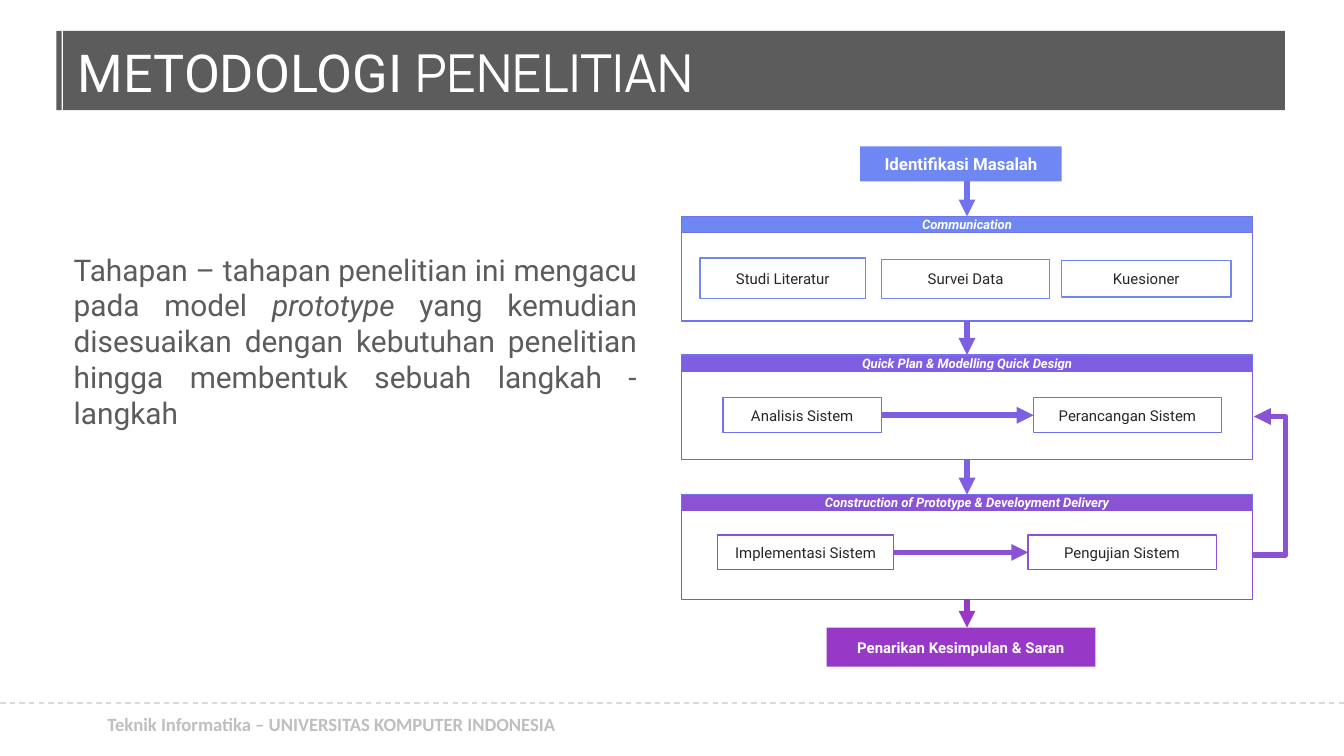
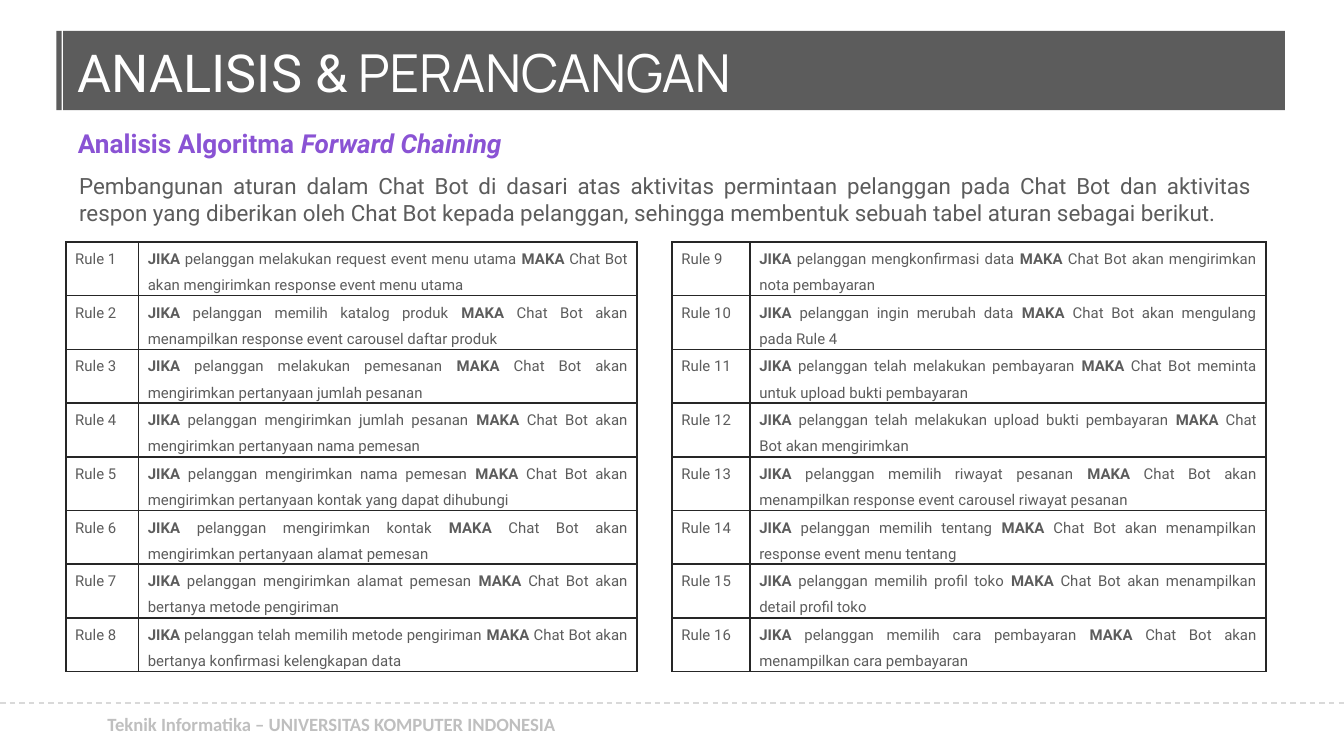
from dataclasses import dataclass

from lxml import etree
from pptx import Presentation
from pptx.dml.color import RGBColor
from pptx.enum.dml import MSO_LINE
from pptx.enum.shapes import MSO_CONNECTOR as CONNECTOR, MSO_SHAPE as SHAPE
from pptx.enum.text import MSO_ANCHOR as ANCHOR, MSO_AUTO_SIZE as AUTO_SIZE, PP_ALIGN as ALIGN
from pptx.oxml.ns import qn
from pptx.util import Inches, Pt


@dataclass(frozen=True)
class Theme:
    font: str = "Roboto"
    title_font: str = "Manrope"
    footer_font: str = "Calibri"
    white: str = "FFFFFF"
    grey: str = "5C5C5C"
    ink: str = "262626"
    footer: str = "BFBFBF"
    rule: str = "D9D9D9"
    blue: str = "6E87F2"
    indigo: str = "7172EE"
    violet: str = "7E5FE1"
    purple: str = "8A53D4"
    magenta: str = "9738C7"
    title_size: float = 28
    body_size: float = 16
    heading_size: float = 14
    intro_size: float = 12
    footer_size: float = 10
    start_size: float = 9
    small_size: float = 8
    label_size: float = 7


T = Theme()
BOLD, ITALIC, BOLD_ITALIC = {"bold": True}, {"italic": True}, {"bold": True, "italic": True}


def write(tf, runs, size, color, align=ALIGN.LEFT, font=T.font, margin=None):
    """Fill the first paragraph with (text, font attributes) runs."""
    tf.word_wrap = True
    if margin is not None:
        tf.margin_left = tf.margin_right = tf.margin_top = tf.margin_bottom = Inches(margin)
    p = tf.paragraphs[0]
    p.alignment = align
    for text, attributes in runs:
        r = p.add_run()
        r.text = text
        r.font.name = font
        r.font.size = Pt(size)
        r.font.color.rgb = RGBColor.from_string(color)
        for name, value in attributes.items():
            setattr(r.font, name, value)
    return p


def add_box(s, at, fill, line=None, text="", size=T.small_size, color=T.white, style=BOLD):
    sp = s.shapes.add_shape(SHAPE.RECTANGLE, *map(Inches, at))
    sp.shadow.inherit = False
    sp.fill.solid()
    sp.fill.fore_color.rgb = RGBColor.from_string(fill)
    if line:
        sp.line.color.rgb = RGBColor.from_string(line)
        sp.line.width = Pt(0.75)
    else:
        sp.line.fill.background()
    if text:
        write(sp.text_frame, [(text, style)], size, color, ALIGN.CENTER)
    return sp


prs = Presentation()
prs.slide_width = Inches(10)
prs.slide_height = prs.slide_width * 9 // 16
layout = prs.slide_layouts[5]
for ph in list(layout.placeholders)[1:]:
    ph.element.getparent().remove(ph.element)

titles = [("METODOLOGI ", "PENELITIAN"), ("ANALISIS &", " PERANCANGAN")]
for strong, light in titles:
    s = prs.slides.add_slide(layout)
    title = s.shapes.title
    title.left, title.top, title.width, title.height = map(Inches, (0.58, 0.26, 8.98, 0.54))
    tf = title.text_frame
    tf.auto_size = AUTO_SIZE.NONE
    tf.vertical_anchor = ANCHOR.MIDDLE
    write(tf, [(strong, {}), (light, {"name": T.title_font})], T.title_size, T.white, margin=0)
method, analysis = prs.slides

# Title band and footer, moved to the layout that both slides share
band = add_box(method, (0.47, 0.23, 9.09, 0.59), T.grey)
accent = add_box(method, (0.42, 0.23, 0.04, 0.59), T.grey)
footer = method.shapes.add_textbox(*map(Inches, (0.8, 5.32, 3.33, 0.15)))
footer.text_frame.vertical_anchor = ANCHOR.MIDDLE
p = write(footer.text_frame, [("Teknik Informatika – UNIVERSITAS KOMPUTER INDONESIA", BOLD)],
          T.footer_size, T.footer, font=T.footer_font, margin=0)
p.line_spacing = 0.9
p.space_after = Pt(10)
footer.text_frame.word_wrap = False
footer_rule = method.shapes.add_connector(
    CONNECTOR.STRAIGHT, 0, Inches(5.23), prs.slide_width, Inches(5.23))
footer_rule.line.color.rgb = RGBColor.from_string(T.rule)
footer_rule.line.width = Pt(0.75)
footer_rule.line.dash_style = MSO_LINE.DASH
etree.SubElement(footer_rule.element.spPr, qn("a:effectLst"))
for sp in (band, accent, footer, footer_rule):
    layout.shapes.element.append(sp.element)

# Slide 1: research stages
tb = method.shapes.add_textbox(*map(Inches, (0.45, 1.82, 4.39, 1.45)))
write(tb.text_frame, [
    ("Tahapan – tahapan penelitian ini mengacu pada model ", {}),
    ("prototype ", ITALIC),
    ("yang kemudian disesuaikan dengan kebutuhan penelitian hingga membentuk "
     "sebuah langkah - langkah ", {}),
], T.body_size, T.grey, ALIGN.JUSTIFY)

add_box(method, (6.15, 4.67, 2, 0.29), T.magenta, text="Penarikan Kesimpulan & Saran")
add_box(method, (6.4, 1.09, 1.5, 0.26), T.blue, text="Identifikasi Masalah",
        size=T.start_size)

PANEL_LEFT, PANEL_WIDTH, HEADER_HEIGHT, BODY_HEIGHT = 5.07, 4.25, 0.12, 0.66
CENTRE = PANEL_LEFT + PANEL_WIDTH / 2
panels = [
    (1.61, "Communication", T.blue, T.indigo, T.blue, [
        ("Studi Literatur", 5.21, 1.92, 1.23, 0.3),
        ("Survei Data", 6.56, 1.93, 1.25, 0.29),
        ("Kuesioner", 7.9, 1.94, 1.26, 0.27)]),
    (2.64, "Quick Plan & Modelling Quick Design", T.violet, T.violet, T.indigo, [
        ("Analisis Sistem", 5.38, 2.96, 1.18, 0.26),
        ("Perancangan Sistem", 7.69, 2.96, 1.4, 0.26)]),
    (3.68, "Construction of Prototype & Develoyment Delivery", T.purple, T.purple, T.purple, [
        ("Implementasi Sistem", 5.34, 3.98, 1.31, 0.26),
        ("Pengujian Sistem", 7.65, 3.98, 1.4, 0.26)]),
]
arrows = []
previous = None
for (top, name, fill, outline, step_line, steps), arrow_color in zip(
        panels, (T.indigo, T.violet, T.violet)):
    header = add_box(method, (PANEL_LEFT, top, PANEL_WIDTH, HEADER_HEIGHT), fill, T.indigo,
                     name, T.label_size, style=BOLD_ITALIC)
    body = add_box(method, (PANEL_LEFT, top + HEADER_HEIGHT, PANEL_WIDTH, BODY_HEIGHT),
                   T.white, outline)
    boxes = [add_box(method, at, T.white, step_line, step, color=T.ink, style={})
             for step, *at in steps]
    down = method.shapes.add_connector(
        CONNECTOR.STRAIGHT, Inches(CENTRE), Inches(1.35), Inches(CENTRE), Inches(top))
    if previous:
        down.begin_connect(previous, 2)
    down.end_connect(header, 0)
    arrows.append((down, arrow_color))
    if len(boxes) == 2:
        across = method.shapes.add_connector(CONNECTOR.STRAIGHT, 0, 0, 0, 0)
        across.begin_connect(boxes[0], 3)
        across.end_connect(boxes[1], 1)
        arrows.append((across, fill))
    previous = body

last = method.shapes.add_connector(
    CONNECTOR.STRAIGHT, Inches(CENTRE), Inches(4.46), Inches(CENTRE), Inches(4.67))
last.begin_connect(previous, 2)
feedback = method.shapes.add_connector(
    CONNECTOR.ELBOW, Inches(9.32), Inches(4.13), Inches(9.33), Inches(3.1))
# The bend lies 0.25 inch to the right, 25 times the connector's own width
bend = feedback.element.spPr.find(qn("a:prstGeom")).find(qn("a:avLst"))
etree.SubElement(bend, qn("a:gd"), name="adj1", fmla="val 2500000")
arrows += [(last, T.magenta), (feedback, T.purple)]
for cxn, color in arrows:
    cxn.line.color.rgb = RGBColor.from_string(color)
    cxn.line.width = Pt(3)
    etree.SubElement(cxn.element.spPr.find(qn("a:ln")), qn("a:tailEnd"), type="triangle")
    etree.SubElement(cxn.element.spPr, qn("a:effectLst"))

# Slide 2: rule tables
tb = analysis.shapes.add_textbox(*map(Inches, (0.58, 0.97, 8.99, 0.19)))
tb.text_frame.vertical_anchor = ANCHOR.MIDDLE
write(tb.text_frame, [("Analisis Algoritma ", BOLD), ("Forward Chaining", BOLD_ITALIC)],
      T.heading_size, T.purple, margin=0)
tb = analysis.shapes.add_textbox(*map(Inches, (0.49, 1.23, 8.93, 0.5)))
write(tb.text_frame, [(
    "Pembangunan aturan dalam Chat Bot di dasari atas aktivitas permintaan pelanggan pada "
    "Chat Bot dan aktivitas respon yang diberikan oleh Chat Bot kepada pelanggan, sehingga "
    "membentuk sebuah tabel aturan sebagai berikut. ", {})],
    T.intro_size, T.grey, ALIGN.JUSTIFY)

rules = [
    ("melakukan request event menu utama", "akan mengirimkan response event menu utama"),
    ("memilih katalog produk", "akan menampilkan response event carousel daftar produk "),
    ("melakukan pemesanan", "akan mengirimkan pertanyaan jumlah pesanan"),
    ("mengirimkan jumlah pesanan", "akan mengirimkan pertanyaan nama pemesan"),
    ("mengirimkan nama pemesan", "akan mengirimkan pertanyaan kontak yang dapat dihubungi"),
    ("mengirimkan kontak", "akan mengirimkan pertanyaan alamat pemesan"),
    ("mengirimkan alamat pemesan", "akan bertanya metode pengiriman"),
    ("telah memilih metode pengiriman", "akan bertanya konfirmasi kelengkapan data"),
    ("mengkonfirmasi data", "akan mengirimkan nota pembayaran"),
    ("ingin merubah data", "akan mengulang pada Rule 4"),
    ("telah melakukan pembayaran", "meminta untuk upload bukti pembayaran"),
    ("telah melakukan upload bukti pembayaran", "akan mengirimkan "),
    ("memilih riwayat pesanan", "akan menampilkan response event carousel riwayat pesanan"),
    ("memilih tentang", "akan menampilkan response event menu tentang"),
    ("memilih profil toko", "akan menampilkan detail profil toko"),
    ("memilih cara pembayaran", "akan menampilkan cara pembayaran"),
]
ROWS = 8
for first, left, widths in ((0, 0.49, (0.54, 3.71)), (ROWS, 5, (0.58, 3.84))):
    table = analysis.shapes.add_table(
        ROWS, 2, Inches(left), Inches(1.8), Inches(sum(widths)), Inches(3.07)).table
    table.first_row = table.horz_banding = False
    for column, width in zip(table.columns, widths):
        column.width = Inches(width)
    for i, (condition, response) in enumerate(rules[first:first + ROWS]):
        cells = (
            [(f"Rule {first + i + 1}", {})],
            [("JIKA ", BOLD), (f"pelanggan {condition} ", {}),
             ("MAKA", BOLD), (f" Chat Bot {response}", {})],
        )
        for j, runs in enumerate(cells):
            cell = table.cell(i, j)
            cell.margin_left = cell.margin_right = Inches(0.07)
            cell.margin_top = cell.margin_bottom = 0
            p = write(cell.text_frame, runs, T.small_size, T.grey, ALIGN.JUSTIFY)
            p.line_spacing = 1.5
            tcPr = cell._tc.get_or_add_tcPr()
            for side in ("a:lnL", "a:lnR", "a:lnT", "a:lnB"):
                ln = etree.SubElement(tcPr, qn(side), w=str(Pt(1)))
                solid = etree.SubElement(ln, qn("a:solidFill"))
                etree.SubElement(solid, qn("a:srgbClr"), val=T.ink)
            cell.fill.background()

prs.save("out.pptx")
